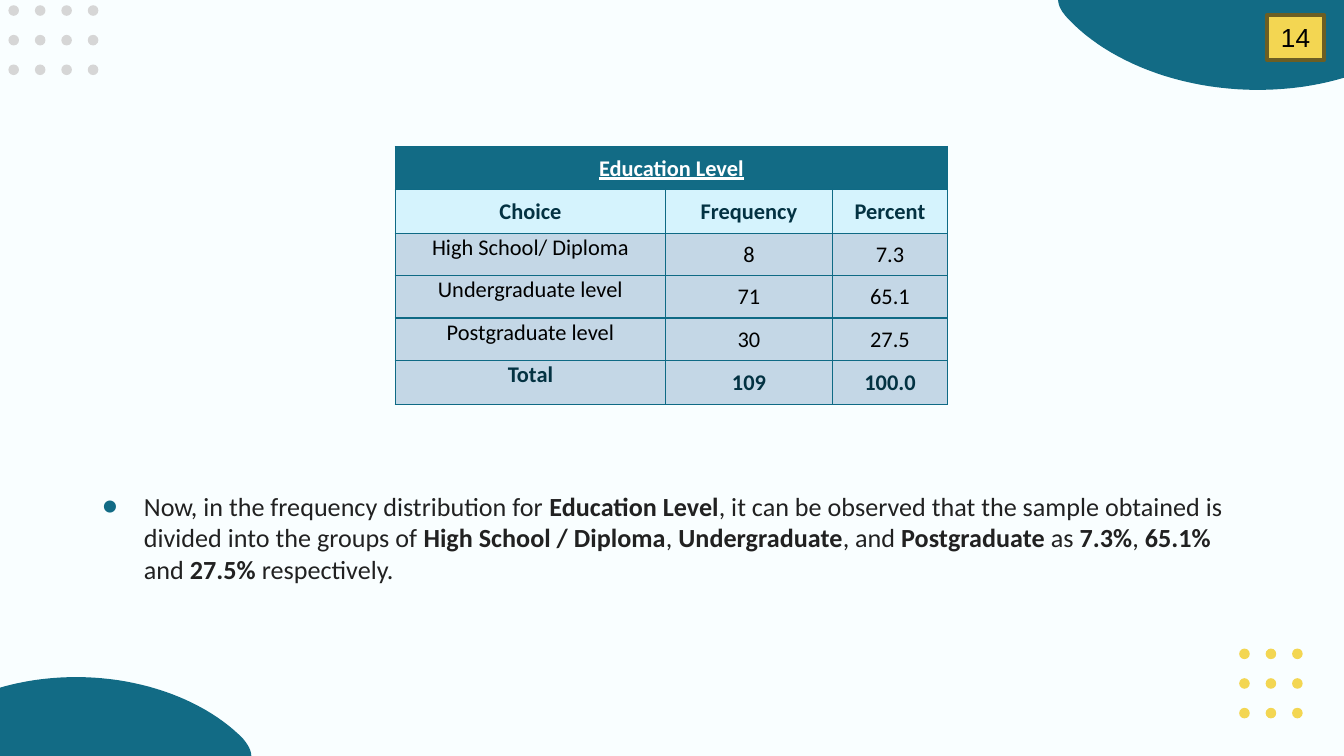
"""Build the survey slide on education level: frequency table, finding and page badge."""
from math import comb

from lxml import etree
from pptx import Presentation
from pptx.dml.color import RGBColor
from pptx.enum.shapes import MSO_SHAPE
from pptx.enum.text import MSO_ANCHOR, PP_ALIGN
from pptx.oxml.ns import qn
from pptx.util import Cm, Pt

OVAL, RECTANGLE = MSO_SHAPE.OVAL, MSO_SHAPE.RECTANGLE
TOP, MIDDLE = MSO_ANCHOR.TOP, MSO_ANCHOR.MIDDLE
LEFT, CENTER = PP_ALIGN.LEFT, PP_ALIGN.CENTER

THEME = {
    "paper": "F9FEFF", "teal": "126B85", "grey": "D6D6D6", "yellow": "F3D652",
    "olive": "6B5E24", "ink": "212121", "navy": "033242", "white": "FFFFFF",
    "black": "000000", "pale": "D5F3FD", "mist": "C4D7E6", "rule": "0F6A85",
    "font": "Calibri", "badge_font": "Arial",
    "body_size": 14, "table_size": 12, "rule_width": 0.75, "badge_line": 2,
}

PAGE_NUMBER = "14"
TABLE_TITLE = "Education Level"
HEADINGS = ("Choice", "Frequency", "Percent")
ANSWERS = [
    ("High School/ Diploma", "8", "7.3"),
    ("Undergraduate level", "71", "65.1"),
    ("Postgraduate level", "30", "27.5"),
]
TOTALS = ("Total", "109", "100.0")
FINDING = [
    ("Now, in the frequency distribution for ", False),
    ("Education Level", True),
    (", it can be observed that the sample obtained is divided into the groups of ", False),
    ("High School / Diploma", True),
    (", ", False),
    ("Undergraduate", True),
    (", and ", False),
    ("Postgraduate ", True),
    ("as ", False),
    ("7.3%", True),
    (", ", False),
    ("65.1%", True),
    (" and ", False),
    ("27.5%", True),
    (" respectively.", False),
]

SLIDE_SIZE = (25.4, 14.29)
BLOBS = [
    ((1.45, 12.8), [
        [(0.97, 12.8), (0.48, 12.86), (0, 13)],
        [(0, 14.29)],
        [(4.75, 14.29)],
        [(4.75, 14.17), (4.67, 14.06), (4.6, 13.97)],
        [(3.91, 13.26), (2.72, 12.8), (1.45, 12.8)],
    ]),
    ((23.77, 1.7), [
        [(24.31, 1.7), (24.87, 1.63), (25.4, 1.47)],
        [(25.4, 0)],
        [(20, 0)],
        [(20, 0.13), (20.09, 0.25), (20.19, 0.36)],
        [(20.96, 1.17), (22.3, 1.7), (23.77, 1.7)],
    ]),
]
DOT_GRIDS = [(0.16, 0.1, 4, 3, "grey"), (23.42, 12.26, 3, 3, "yellow")]
DOT_SIZE, DOT_STEP_X, DOT_STEP_Y = 0.2, 0.5, 0.56
FINDING_BOX = (1.68, 9.02, 22.05, 3.18)
BADGE_BOX = (23.95, 0.28, 1.07, 0.86)
TABLE_CORNER = (7.47, 2.77)
COLUMN_WIDTHS = (5.11, 3.15, 2.18)
ROW_HEIGHTS = (0.81, 0.83, 0.8, 0.8, 0.8, 0.83)
HANGING_INDENT = 0.79


def lengths(values):
    return [Cm(value) for value in values]


def colour(name):
    return RGBColor.from_string(THEME[name])


def set_all(target, values):
    for name, value in values.items():
        setattr(target, name, value)


def write(paragraph, text, size, ink, font="font", **styles):
    run = paragraph.add_run()
    run.text = text
    set_all(run.font, {"name": THEME[font], "size": Pt(THEME[size]), **styles})
    run.font.color.rgb = colour(ink)


def paint(shape, fill, line=None):
    shape.shadow.inherit = False
    shape.fill.solid()
    shape.fill.fore_color.rgb = colour(fill)
    if line:
        shape.line.color.rgb = colour(line)
        shape.line.width = Pt(THEME["badge_line"])
    else:
        shape.line.fill.background()


def curve(points, steps):
    degree = len(points) - 1
    for step in range(1, steps + 1):
        t = step / steps
        weights = [comb(degree, i) * t**i * (1 - t) ** (degree - i) for i in range(degree + 1)]
        yield tuple(Cm(sum(w * p[axis] for w, p in zip(weights, points))) for axis in (0, 1))


def add_blob(slide, start, segments):
    outline = slide.shapes.build_freeform(*lengths(start))
    pen = start
    for segment in segments:
        outline.add_line_segments(curve([pen, *segment], 24 if len(segment) > 1 else 1), close=False)
        pen = segment[-1]
    outline.add_line_segments([], close=True)
    paint(outline.convert_to_shape(), "teal")


def add_dots(slide, left, top, columns, rows, fill):
    for column in range(columns):
        for row in range(rows):
            corner = (left + column * DOT_STEP_X, top + row * DOT_STEP_Y)
            paint(slide.shapes.add_shape(OVAL, *lengths((*corner, DOT_SIZE, DOT_SIZE))), fill)


def add_finding(slide):
    body = slide.placeholders[1]
    set_all(body, dict(zip(("left", "top", "width", "height"), lengths(FINDING_BOX))))
    margins = {f"margin_{side}": Cm(0.25) for side in ("left", "right", "top", "bottom")}
    set_all(body.text_frame, {"word_wrap": True, "vertical_anchor": TOP, **margins})
    paragraph = body.text_frame.paragraphs[0]
    properties = paragraph._p.get_or_add_pPr()
    properties.set("marL", str(Cm(HANGING_INDENT)))
    properties.set("indent", str(-Cm(HANGING_INDENT)))
    bullet_colour = etree.SubElement(properties, qn("a:buClr"))
    etree.SubElement(bullet_colour, qn("a:srgbClr"), val=THEME["teal"])
    etree.SubElement(properties, qn("a:buFont"), typeface=THEME["font"])
    etree.SubElement(properties, qn("a:buChar"), char="●")
    set_all(paragraph, {"alignment": LEFT, "space_before": Pt(0), "line_spacing": 1.0})
    for text, bold in FINDING:
        write(paragraph, text, "body_size", "ink", bold=bold)


def add_borders(cell):
    properties = cell._tc.get_or_add_tcPr()
    for side in ("lnL", "lnR", "lnT", "lnB"):
        border = etree.SubElement(properties, qn(f"a:{side}"), w=str(Pt(THEME["rule_width"])))
        fill = etree.SubElement(border, qn("a:solidFill"))
        etree.SubElement(fill, qn("a:srgbClr"), val=THEME["rule"])


def add_frequency_table(slide):
    rows = [
        ((TABLE_TITLE, "", ""), "teal", "white", {"bold": True, "underline": True}),
        (HEADINGS, "pale", "navy", {"bold": True}),
        *[(answer, "mist", "black", {"bold": False}) for answer in ANSWERS],
        (TOTALS, "mist", "navy", {"bold": True}),
    ]
    size = (sum(COLUMN_WIDTHS), sum(ROW_HEIGHTS))
    table = slide.shapes.add_table(
        len(rows), len(HEADINGS), *lengths((*TABLE_CORNER, *size))).table
    set_all(table, {"first_row": False, "horz_banding": False})
    for column, width in zip(table.columns, lengths(COLUMN_WIDTHS)):
        column.width = width
    for row, height in zip(table.rows, lengths(ROW_HEIGHTS)):
        row.height = height
    table.cell(0, 0).merge(table.cell(0, len(HEADINGS) - 1))
    margins = {f"margin_{side}": Cm(0.02) for side in ("left", "right", "top")}
    for row, (texts, fill, ink, styles) in enumerate(rows):
        for column, text in enumerate(texts):
            cell = table.cell(row, column)
            anchor = TOP if column == 0 and row > 1 else MIDDLE
            set_all(cell, {"vertical_anchor": anchor, "margin_bottom": 0, **margins})
            add_borders(cell)
            cell.fill.solid()
            cell.fill.fore_color.rgb = colour(fill)
            if text:
                paragraph = cell.text_frame.paragraphs[0]
                paragraph.alignment = CENTER
                write(paragraph, text, "table_size", ink, **styles)


def add_badge(slide):
    badge = slide.shapes.add_shape(RECTANGLE, *lengths(BADGE_BOX))
    paint(badge, "yellow", "olive")
    set_all(badge.text_frame, {"word_wrap": False, "vertical_anchor": MIDDLE})
    paragraph = badge.text_frame.paragraphs[0]
    paragraph.alignment = CENTER
    write(paragraph, PAGE_NUMBER, "body_size", "black", "badge_font")


def main():
    deck = Presentation()
    deck.slide_width, deck.slide_height = lengths(SLIDE_SIZE)
    slide = deck.slides.add_slide(deck.slide_layouts[1])
    slide.background.fill.solid()
    slide.background.fill.fore_color.rgb = colour("paper")
    title = slide.shapes.title._element
    title.getparent().remove(title)
    for start, segments in BLOBS:
        add_blob(slide, start, segments)
    for grid in DOT_GRIDS:
        add_dots(slide, *grid)
    add_finding(slide)
    add_frequency_table(slide)
    add_badge(slide)
    deck.save("out.pptx")


if __name__ == "__main__":
    main()
